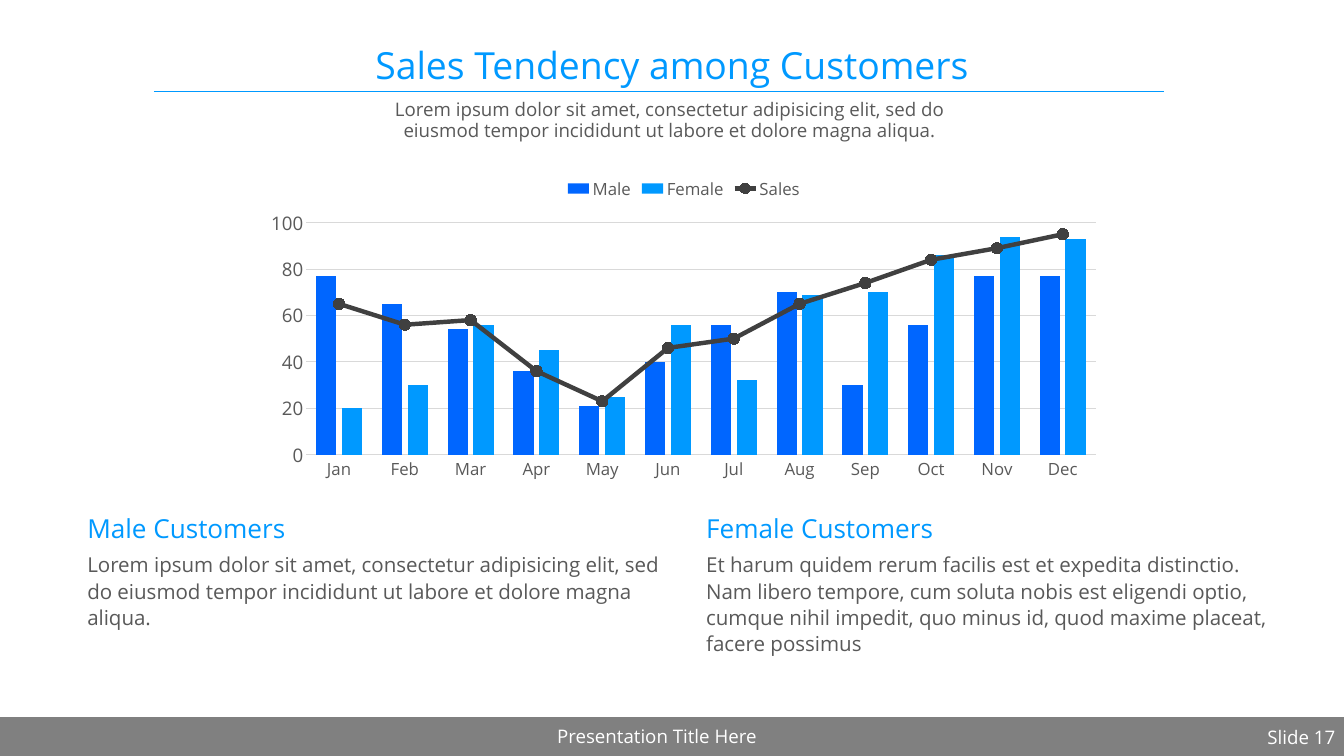
from copy import deepcopy

from lxml import etree
from pptx import Presentation
from pptx.chart.data import CategoryChartData
from pptx.dml.color import RGBColor
from pptx.enum.chart import XL_CHART_TYPE, XL_LEGEND_POSITION, XL_MARKER_STYLE, XL_TICK_MARK
from pptx.enum.shapes import MSO_CONNECTOR, MSO_SHAPE
from pptx.enum.text import MSO_ANCHOR, PP_ALIGN
from pptx.oxml import parse_xml
from pptx.oxml.ns import nsdecls, qn
from pptx.util import Inches, Pt

FONT = "Open Sans"
ACCENT, TEXT, WHITE, GRID = "0099FF", "595959", "FFFFFF", "D9D9D9"
MONTHS = "Jan Feb Mar Apr May Jun Jul Aug Sep Oct Nov Dec".split()
SERIES = {
    "Male": ("0066FF", [77, 65, 54, 36, 21, 40, 56, 70, 30, 56, 77, 77]),
    "Female": (ACCENT, [20, 30, 56, 45, 25, 56, 32, 69, 70, 86, 94, 93]),
    "Sales": ("404040", [65, 56, 58, 36, 23, 46, 50, 65, 74, 84, 89, 95]),
}


def rgb(value):
    return RGBColor.from_string(value)


def fill(target, color):
    target.fill.solid()
    target.fill.fore_color.rgb = rgb(color)


def stroke(line, color, width):
    line.color.rgb = rgb(color)
    line.width = Pt(width)


def style_font(font, size, color=TEXT):
    font.name, font.size = FONT, Pt(size)
    font.color.rgb = rgb(color)


class SlideBuilder:
    """Holds the current slide and draws its elements in one style."""

    def __init__(self, slide):
        self.slide = slide
        self.shapes = slide.shapes

    def bar(self, x, y, w, h, color):
        shape = self.shapes.add_shape(MSO_SHAPE.RECTANGLE, *map(Inches, (x, y, w, h)))
        shape.shadow.inherit = False
        fill(shape, color)
        shape.line.fill.background()

    def rule(self, x1, x2, y, color, width):
        line = self.shapes.add_connector(MSO_CONNECTOR.STRAIGHT, *map(Inches, (x1, y, x2, y)))
        stroke(line.line, color, width)
        etree.SubElement(line._element.spPr, qn("a:effectLst"))

    def text(self, box, content, size, color=TEXT, align=PP_ALIGN.LEFT,
             anchor=MSO_ANCHOR.TOP, spacing=1.0):
        frame = self.shapes.add_textbox(*map(Inches, box)).text_frame
        frame.word_wrap = True
        frame.vertical_anchor = anchor
        paragraph = frame.paragraphs[0]
        paragraph.text = content
        paragraph.alignment = align
        paragraph.line_spacing = spacing
        for run in paragraph.runs:
            style_font(run.font, size, color)

    def combo_chart(self, box, categories, series):
        data = CategoryChartData()
        data.categories = categories
        for name, (_, values) in series.items():
            data.add_series(name, values)
        chart = self.shapes.add_chart(
            XL_CHART_TYPE.COLUMN_CLUSTERED, *map(Inches, box), data).chart
        style_font(chart.font, 10, "000000")
        chart.has_title = False
        chart.has_legend = True
        chart.legend.position = XL_LEGEND_POSITION.TOP
        chart.legend.include_in_layout = False
        style_font(chart.legend.font, 18)
        self.style_axes(chart)
        self.last_series_as_line(chart)
        columns, lines = chart.plots
        columns.gap_width, columns.overlap = 98, -27
        for plot in chart.plots:
            plot.vary_by_categories = False
        for column in columns.series:
            fill(column.format, series[column.name][0])
        for line in lines.series:
            color = series[line.name][0]
            line.smooth = False
            stroke(line.format.line, color, 4.75)
            line.marker.style = XL_MARKER_STYLE.CIRCLE
            line.marker.size = 12
            fill(line.marker.format, color)
            stroke(line.marker.format.line, color, 0.75)
        self.place_plot(chart, x=0.06, y=0.17, w=0.92, h=0.73)

    def style_axes(self, chart):
        months, values = chart.category_axis, chart.value_axis
        for axis, size in ((months, 18), (values, 20)):
            axis.major_tick_mark = axis.minor_tick_mark = XL_TICK_MARK.NONE
            style_font(axis.tick_labels.font, size)
        stroke(months.format.line, GRID, 0.75)
        values.format.line.fill.background()
        values.minimum_scale, values.maximum_scale, values.major_unit = 0, 100, 20
        stroke(values.major_gridlines.format.line, GRID, 0.75)

    def last_series_as_line(self, chart):
        bars = chart._chartSpace.find(".//" + qn("c:barChart"))
        series = bars.findall(qn("c:ser"))[-1]
        for flag in series.findall(qn("c:invertIfNegative")):
            series.remove(flag)
        lines = parse_xml(f'<c:lineChart {nsdecls("c")}><c:grouping val="standard"/>'
                          '<c:varyColors val="0"/></c:lineChart>')
        lines.append(series)
        etree.SubElement(lines, qn("c:marker"), val="1")
        for axis_id in bars.findall(qn("c:axId")):
            lines.append(deepcopy(axis_id))
        bars.addnext(lines)

    def place_plot(self, chart, **parts):
        area = chart._chartSpace.find(".//" + qn("c:plotArea"))
        for old in area.findall(qn("c:layout")):
            area.remove(old)
        layout = etree.Element(qn("c:layout"))
        manual = etree.SubElement(layout, qn("c:manualLayout"))
        settings = {"layoutTarget": "inner", "xMode": "edge", "yMode": "edge", **parts}
        for tag, value in settings.items():
            etree.SubElement(manual, qn("c:" + tag), val=str(value))
        area.insert(0, layout)


deck = Presentation()
deck.slide_width, deck.slide_height = Inches(20), Inches(11.25)
page = SlideBuilder(deck.slides.add_slide(deck.slide_layouts[6]))

page.bar(0, 10.67, 20, 0.58, "808080")
page.rule(2.29, 17.32, 1.36, ACCENT, 0.5)
page.text((6.4, 10.74, 6.75, 0.38), "Presentation Title Here", 20, WHITE, PP_ALIGN.CENTER)
page.text((15.47, 10.75, 4.5, 0.37), "Slide 17", 20, WHITE, PP_ALIGN.RIGHT)
page.text((0.35, 0.51, 19.3, 0.84), "Sales Tendency among Customers", 40, ACCENT,
          PP_ALIGN.CENTER, MSO_ANCHOR.BOTTOM, 0.9)
page.text((0.35, 1.43, 19.3, 1.01),
          "Lorem ipsum dolor sit amet, consectetur adipisicing elit, sed do \v"
          "eiusmod tempor incididunt ut labore et dolore magna aliqua.\u00a0",
          20, align=PP_ALIGN.CENTER, spacing=0.95)
page.combo_chart((3.79, 2.51, 12.77, 4.73), MONTHS, SERIES)

columns = [
    (1.2, "Male Customers",
     "Lorem ipsum dolor sit amet, consectetur adipisicing elit, sed do eiusmod "
     "tempor incididunt ut labore et dolore magna aliqua."),
    (10.41, "Female Customers",
     "Et harum quidem rerum facilis est et expedita distinctio. Nam libero tempore, "
     "cum soluta nobis est eligendi optio, cumque nihil impedit, quo minus id, quod "
     "maxime placeat, facere possimus"),
]
for left, heading, body in columns:
    page.text((left, 7.58, 8.71, 0.57), heading, 28, ACCENT,
              anchor=MSO_ANCHOR.BOTTOM, spacing=0.9)
    page.text((left, 8.15, 8.71, 2.26), body, 22, spacing=Pt(28))

deck.save("out.pptx")
